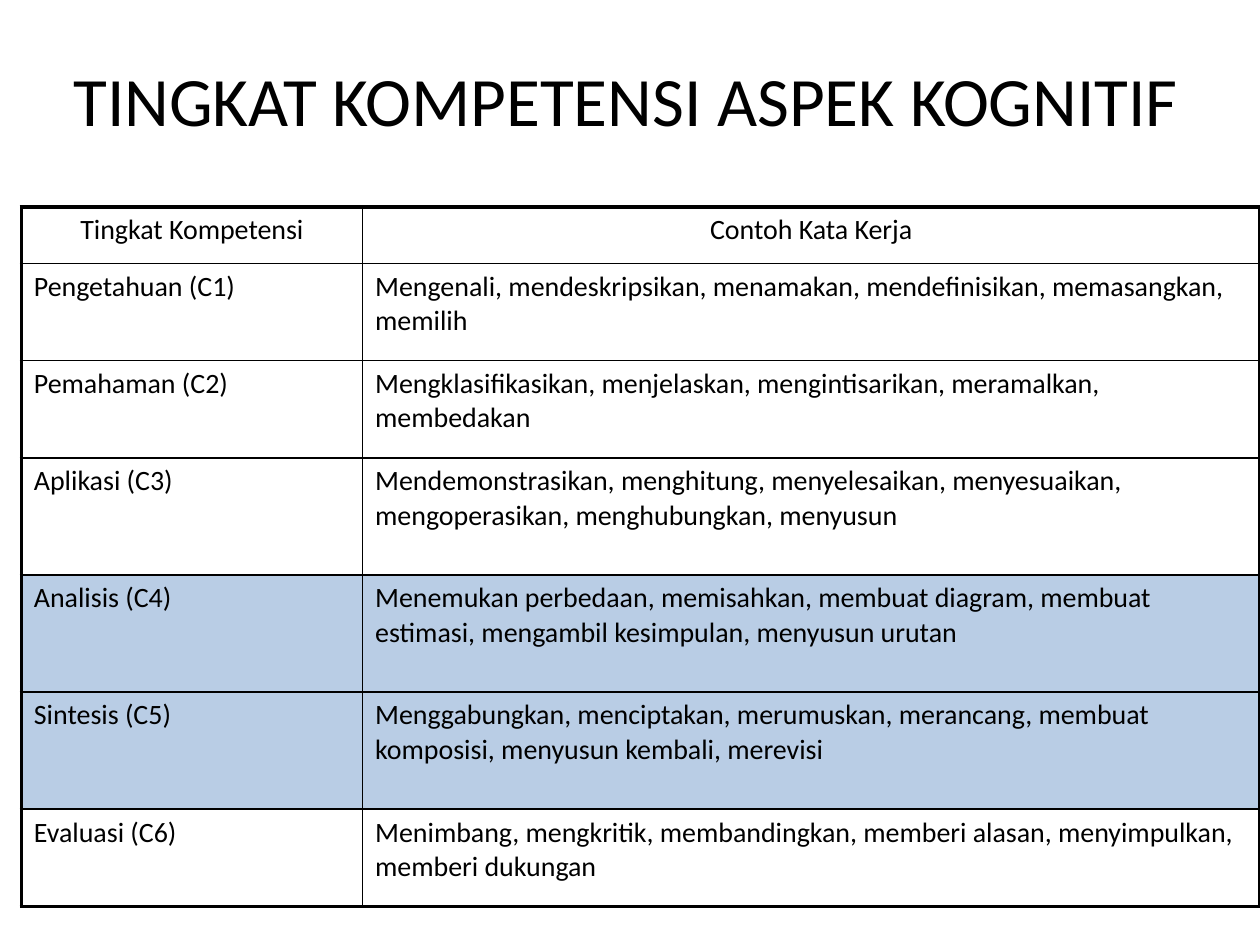
from dataclasses import dataclass

from lxml import etree
from pptx import Presentation
from pptx.dml.color import RGBColor
from pptx.enum.text import MSO_ANCHOR, PP_ALIGN
from pptx.oxml.ns import qn
from pptx.util import Cm, Pt

CENTER, LEFT = PP_ALIGN.CENTER, PP_ALIGN.LEFT
MIDDLE, TOP = MSO_ANCHOR.MIDDLE, MSO_ANCHOR.TOP
TITLE_ONLY = 5


@dataclass(frozen=True)
class Theme:
    font: str = "Calibri"
    ink: str = "000000"
    highlight: str = "B9CDE5"
    title_size: float = 39.6
    table_size: float = 16
    outer_line: float = 2.25
    inner_line: float = 1


@dataclass(frozen=True)
class Level:
    name: str
    verbs: str
    height: float
    highlighted: bool = False
    align: PP_ALIGN = LEFT


THEME = Theme()
TITLE = "TINGKAT KOMPETENSI ASPEK KOGNITIF"
COLUMN_WIDTHS = (6.88, 18.09)
SHORT_ROW, TALL_ROW = 1.96, 2.36
LEVELS = [
    Level("Tingkat Kompetensi", "Contoh Kata Kerja", 1.14, align=CENTER),
    Level("Pengetahuan (C1)",
          "Mengenali, mendeskripsikan, menamakan, mendefinisikan, memasangkan, memilih",
          SHORT_ROW),
    Level("Pemahaman (C2)",
          "Mengklasifikasikan, menjelaskan, mengintisarikan, meramalkan, membedakan",
          SHORT_ROW),
    Level("Aplikasi (C3)",
          "Mendemonstrasikan, menghitung, menyelesaikan, menyesuaikan, "
          "mengoperasikan, menghubungkan, menyusun", TALL_ROW),
    Level("Analisis (C4)",
          "Menemukan perbedaan, memisahkan, membuat diagram, membuat estimasi, "
          "mengambil kesimpulan, menyusun urutan", TALL_ROW, highlighted=True),
    Level("Sintesis (C5)",
          "Menggabungkan, menciptakan, merumuskan, merancang, membuat komposisi, "
          "menyusun kembali, merevisi", TALL_ROW, highlighted=True),
    Level("Evaluasi (C6)",
          "Menimbang, mengkritik, membandingkan, memberi alasan, menyimpulkan, "
          "memberi dukungan", SHORT_ROW),
]


def write_text(frame, text: str, size: float, align: PP_ALIGN) -> None:
    frame.text = text
    para = frame.paragraphs[0]
    para.alignment = align
    font = para.runs[0].font
    font.name, font.size = THEME.font, Pt(size)
    font.color.rgb = RGBColor.from_string(THEME.ink)


def draw_borders(cell, outer_sides: dict[str, bool]) -> None:
    """Draw a thick line on each outer side and a thin one elsewhere."""
    properties = cell._tc.get_or_add_tcPr()
    for side, is_outer in outer_sides.items():
        width = THEME.outer_line if is_outer else THEME.inner_line
        line = etree.SubElement(properties, qn(f"a:ln{side}"), w=str(Pt(width)))
        fill = etree.SubElement(line, qn("a:solidFill"))
        etree.SubElement(fill, qn("a:srgbClr"), val=THEME.ink)


def add_title(page) -> None:
    title = page.shapes.title
    title.left, title.top, title.width, title.height = Cm(1.19), Cm(0.41), Cm(22.86), Cm(3.18)
    frame = title.text_frame
    frame.margin_left = frame.margin_right = 0
    frame.vertical_anchor = MIDDLE
    write_text(frame, TITLE, THEME.title_size, CENTER)


def add_level_table(page, levels: list[Level]) -> None:
    table = page.shapes.add_table(
        len(levels), len(COLUMN_WIDTHS), Cm(0.43), Cm(4.17),
        Cm(sum(COLUMN_WIDTHS)), Cm(sum(level.height for level in levels))).table
    table.first_row = table.horz_banding = False
    for column, width in zip(table.columns, COLUMN_WIDTHS):
        column.width = Cm(width)

    last_row, last_column = len(levels) - 1, len(COLUMN_WIDTHS) - 1
    for row, level in enumerate(levels):
        table.rows[row].height = Cm(level.height)
        for column, text in enumerate((level.name, level.verbs)):
            cell = table.cell(row, column)
            cell.vertical_anchor = TOP
            write_text(cell.text_frame, text, THEME.table_size, level.align)
            # Borders come before the fill in the cell properties
            draw_borders(cell, {"L": column == 0, "R": column == last_column,
                                "T": row == 0, "B": row == last_row})
            if level.highlighted:
                cell.fill.solid()
                cell.fill.fore_color.rgb = RGBColor.from_string(THEME.highlight)
            else:
                cell.fill.background()


def main() -> None:
    deck = Presentation()
    deck.slide_width, deck.slide_height = Cm(25.4), Cm(19.05)
    page = deck.slides.add_slide(deck.slide_layouts[TITLE_ONLY])
    add_title(page)
    add_level_table(page, LEVELS)
    deck.save("out.pptx")


if __name__ == "__main__":
    main()
